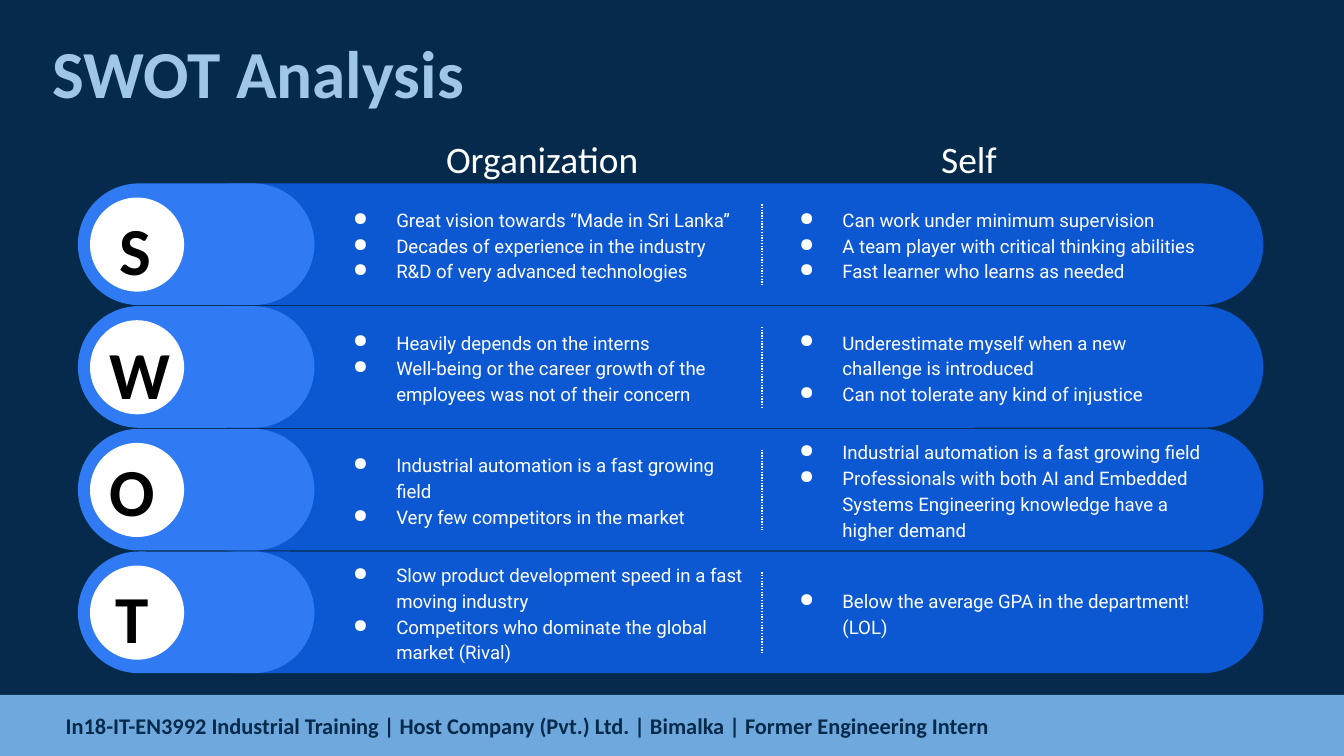
from lxml import etree
from pptx import Presentation
from pptx.dml.color import RGBColor
from pptx.enum.dml import MSO_LINE
from pptx.enum.shapes import MSO_CONNECTOR, MSO_SHAPE
from pptx.enum.text import MSO_ANCHOR, MSO_AUTO_SIZE, PP_ALIGN
from pptx.oxml.ns import qn
from pptx.util import Inches, Pt

RECTANGLE, PILL, CIRCLE = MSO_SHAPE.RECTANGLE, MSO_SHAPE.ROUNDED_RECTANGLE, MSO_SHAPE.OVAL
TOP, MIDDLE = MSO_ANCHOR.TOP, MSO_ANCHOR.MIDDLE
LEFT, CENTER = PP_ALIGN.LEFT, PP_ALIGN.CENTER
STRAIGHT, DOTTED = MSO_CONNECTOR.STRAIGHT, MSO_LINE.ROUND_DOT
NO_FIT = MSO_AUTO_SIZE.NONE

NAVY = RGBColor(0x05, 0x2A, 0x4C)
BLUE = RGBColor(0x0C, 0x58, 0xD3)
BRIGHT = RGBColor(0x30, 0x7B, 0xF3)
SKY = RGBColor(0x6F, 0xA8, 0xDC)
PALE = RGBColor(0x9F, 0xC5, 0xE8)
WHITE = RGBColor(0xFF, 0xFF, 0xFF)
BLACK = RGBColor(0x00, 0x00, 0x00)

deck = Presentation()
deck.slide_width, deck.slide_height = Inches(10), Inches(5.625)
COLUMN = deck.slide_width / 100
ROW = deck.slide_height / 56.25
PITCH = 9.13
FIRST = 13.65

page = deck.slides.add_slide(deck.slide_layouts[5])
page.background.fill.solid()
page.background.fill.fore_color.rgb = NAVY


def add_block(shapes, kind, x, y, width, height, color):
    block = shapes.add_shape(kind, int(x * COLUMN), int(y * ROW),
                             int(width * COLUMN), int(height * ROW))
    block.shadow.inherit = False
    block.fill.solid()
    block.fill.fore_color.rgb = color
    block.line.fill.background()
    if kind == PILL:
        block.adjustments[0] = 0.5
    return block


def add_text(shapes, x, y, width, height, lines, size, font, color,
             bold=False, align=LEFT, bullets=False):
    box = shapes.add_textbox(int(x * COLUMN), int(y * ROW),
                             int(width * COLUMN), int(height * ROW))
    frame = box.text_frame
    frame.word_wrap = True
    frame.vertical_anchor = MIDDLE if bullets else TOP
    frame.margin_left = frame.margin_right = Inches(0.1)
    frame.margin_top = frame.margin_bottom = Inches(0.1)
    for index, line in enumerate(lines):
        para = frame.add_paragraph() if index else frame.paragraphs[0]
        para.alignment = align
        if bullets:
            para.line_spacing = 1.15
            properties = para._p.get_or_add_pPr()
            properties.set("marL", str(Inches(0.5)))
            properties.set("indent", str(Inches(-0.32)))
            bullet_color = etree.SubElement(properties, qn("a:buClr"))
            etree.SubElement(bullet_color, qn("a:srgbClr")).set("val", str(color))
            etree.SubElement(properties, qn("a:buChar")).set("char", "●")
        span = para.add_run()
        span.text = line
        span.font.size = Pt(size)
        span.font.name = font
        span.font.bold = bold
        span.font.color.rgb = color
    return box


add_block(page.shapes, RECTANGLE, 0, 51.7, 100, 4.55, SKY)
add_text(page.shapes, 3.9, 52, 90, 4,
         ["In18-IT-EN3992 Industrial Training | Host Company (Pvt.) Ltd. | Bimalka | Former Engineering Intern"],
         12, "Calibri", NAVY, bold=True)

title = page.shapes.title
title.left, title.top = int(3.9 * COLUMN), int(2.3 * ROW)
title.width, title.height = int(79.9 * COLUMN), int(7 * ROW)
frame = title.text_frame
frame.auto_size = NO_FIT
frame.vertical_anchor = TOP
frame.margin_left = frame.margin_right = frame.margin_top = frame.margin_bottom = 0
frame.paragraphs[0].alignment = LEFT
span = frame.paragraphs[0].add_run()
span.text = "SWOT Analysis"
span.font.size = Pt(36)
span.font.name = "Calibri"
span.font.bold = True
span.font.color.rgb = PALE

SWOT = [
    ("S", (7.9, 14.5, 4.9), 36.7,
     ["Great vision towards “Made in Sri Lanka”",
      "Decades of experience in the industry",
      "R&D of very advanced technologies"],
     ["Can work under minimum supervision",
      "A team player with critical thinking abilities",
      "Fast learner who learns as needed"]),
    ("W", (7.2, 23.7, 6.4), 33.4,
     ["Heavily depends on the interns",
      "Well-being or the career growth of the employees was not of their concern"],
     ["Underestimate myself when a new challenge is introduced",
      "Can not tolerate any kind of injustice"]),
    ("O", (7.2, 32.4, 6.4), 34.6,
     ["Industrial automation is a fast growing field",
      "Very few competitors in the market"],
     ["Industrial automation is a fast growing field",
      "Professionals with both AI and Embedded Systems Engineering knowledge have a higher demand"]),
    ("T", (7.6, 41.9, 5.6), 33.4,
     ["Slow product development speed in a fast moving industry",
      "Competitors who dominate the global market (Rival)"],
     ["Below the average GPA in the department! (LOL)"]),
]

for index, (letter, letter_place, self_width, organization, personal) in enumerate(SWOT):
    top = FIRST + index * PITCH
    band = page.shapes.add_group_shape().shapes
    add_block(band, PILL, 12.9, top, 81.1, 9.05, BLUE)
    add_text(band, 56.7, top + 0.1, self_width, 8.8, personal, 10, "Roboto", WHITE, bullets=True)
    add_text(band, 23.5, top + 0.1, 33.2, 8.8, organization, 10, "Roboto", WHITE, bullets=True)
    add_block(band, PILL, 5.8, top, 17.6, 9.05, BRIGHT)
    add_block(band, CIRCLE, 6.7, top + 1.05, 7, 7, WHITE)
    divider = band.add_connector(STRAIGHT, int(56.7 * COLUMN), int((top + 1.55) * ROW),
                                 int(56.7 * COLUMN), int((top + 7.5) * ROW))
    divider.line.color.rgb = WHITE
    divider.line.width = Pt(0.75)
    divider.line.dash_style = DOTTED
    etree.SubElement(divider._element.spPr, qn("a:effectLst"))
    x, y, width = letter_place
    add_text(page.shapes, x, y, width, 7.3, [letter], 36, "Calibri", BLACK, bold=True)

for heading, x, align in [("Organization", 32.2, LEFT), ("Self", 63.2, CENTER)]:
    add_text(page.shapes, x, 9.1, 17.8, 5.4, [heading], 20, "Calibri", WHITE, align=align)

deck.save("out.pptx")
